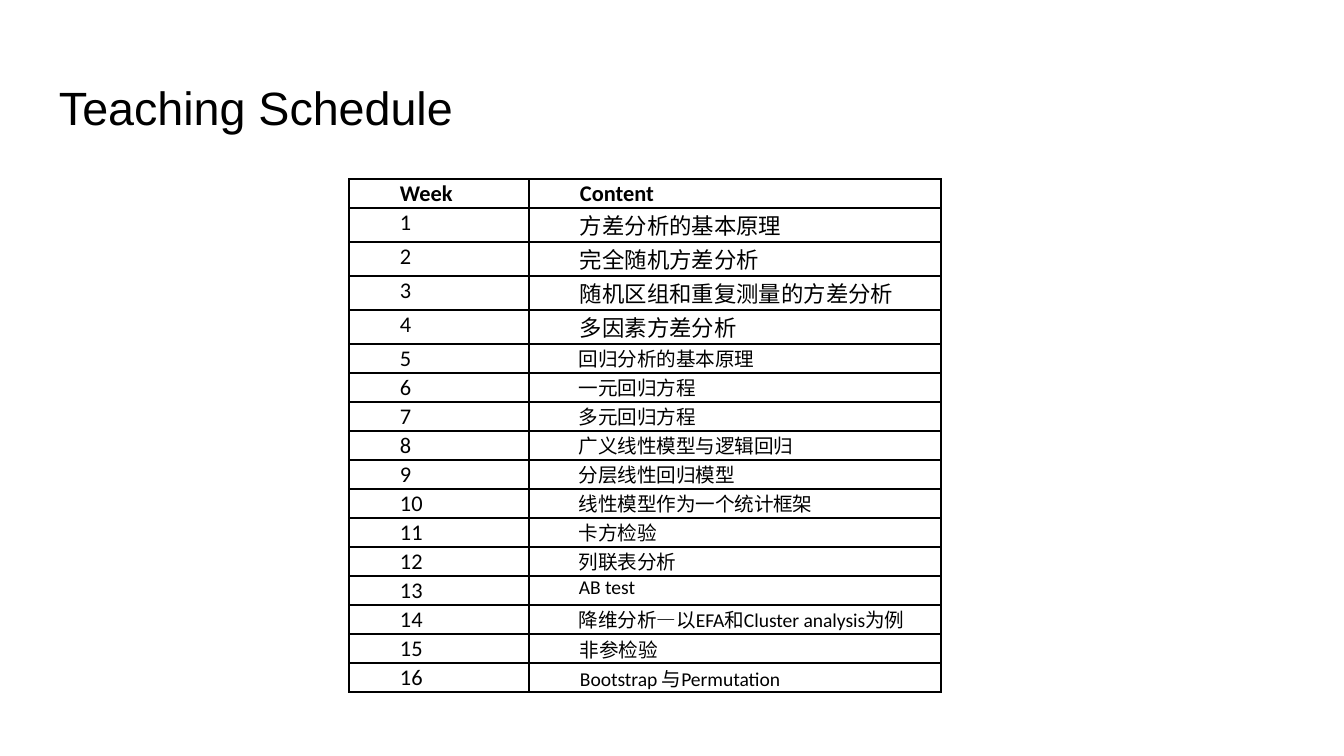
from dataclasses import dataclass

from lxml import etree
from pptx import Presentation
from pptx.dml.color import RGBColor
from pptx.enum.text import MSO_ANCHOR
from pptx.oxml.ns import qn
from pptx.slide import Slide
from pptx.table import _Cell
from pptx.util import Emu, Pt

MIDDLE = MSO_ANCHOR.MIDDLE
TOP = MSO_ANCHOR.TOP
BLACK = RGBColor(0x00, 0x00, 0x00)
TITLE_FONT = "Arial"
TABLE_FONT = "Calibri"
COLUMN_WIDTHS = (180, 412)
FIRST_LINE_INDENT = 39
BORDER_WIDTH = Pt(1)


@dataclass(frozen=True)
class CellStyle:
    size: float
    side_margin: int
    top_margin: int
    row_height: int
    bold: bool = False


@dataclass(frozen=True)
class Week:
    content: str
    style: CellStyle


HEADER = CellStyle(12, 12, 1, 29, True)
REGULAR = CellStyle(12, 12, 1, 34)
COMPACT = CellStyle(10.5, 11, 0, 29)
CLOSING = CellStyle(10.5, 12, 1, 29)

WEEKS = (
    Week("方差分析的基本原理", REGULAR),
    Week("完全随机方差分析", REGULAR),
    Week("随机区组和重复测量的方差分析", REGULAR),
    Week("多因素方差分析", REGULAR),
    Week("回归分析的基本原理", COMPACT),
    Week("一元回归方程", COMPACT),
    Week("多元回归方程", COMPACT),
    Week("广义线性模型与逻辑回归", COMPACT),
    Week("分层线性回归模型", COMPACT),
    Week("线性模型作为一个统计框架", COMPACT),
    Week("卡方检验", COMPACT),
    Week("列联表分析", COMPACT),
    Week("AB test", COMPACT),
    Week("降维分析—以EFA和Cluster analysis为例", COMPACT),
    Week("非参检验", CLOSING),
    Week("Bootstrap 与Permutation", CLOSING),
)


def px(length: int) -> Emu:
    return Emu(length * 47625 // 7)


def add_run(paragraph, text: str, font: str, size: float, bold: bool = False) -> None:
    run = paragraph.add_run()
    run.text = text
    run.font.name = font
    run.font.size = Pt(size)
    run.font.bold = bold
    run.font.color.rgb = BLACK


def add_title(slide: Slide, text: str) -> None:
    title = slide.shapes.add_textbox(px(46), px(64), px(1252), px(85))
    frame = title.text_frame
    frame.word_wrap = True
    frame.vertical_anchor = MIDDLE
    frame.margin_left = frame.margin_right = px(13)
    frame.margin_top = frame.margin_bottom = px(13)
    add_run(frame.paragraphs[0], text, TITLE_FONT, 25)


def add_borders(cell: _Cell) -> None:
    properties = cell._tc.get_or_add_tcPr()
    for position, side in enumerate(("a:lnL", "a:lnR", "a:lnT", "a:lnB")):
        line = etree.Element(qn(side), w=str(BORDER_WIDTH))
        fill = etree.SubElement(line, qn("a:solidFill"))
        etree.SubElement(fill, qn("a:srgbClr"), val=str(BLACK))
        properties.insert(position, line)


def fill_cell(cell: _Cell, text: str, style: CellStyle) -> None:
    cell.fill.background()
    cell.vertical_anchor = TOP
    cell.margin_left = cell.margin_right = px(style.side_margin)
    cell.margin_top = px(style.top_margin)
    cell.margin_bottom = px(0)
    paragraph = cell.text_frame.paragraphs[0]
    properties = paragraph._p.get_or_add_pPr()
    properties.set("marL", "0")
    properties.set("indent", str(px(FIRST_LINE_INDENT)))
    add_run(paragraph, text, TABLE_FONT, style.size, style.bold)
    add_borders(cell)


def add_schedule(slide: Slide, weeks: tuple[Week, ...]) -> None:
    row_heights = [HEADER.row_height] + [week.style.row_height for week in weeks]
    table = slide.shapes.add_table(
        len(row_heights), len(COLUMN_WIDTHS), px(349), px(179),
        px(sum(COLUMN_WIDTHS)), px(sum(row_heights)),
    ).table
    table.first_row = False
    table.horz_banding = False
    for column, width in zip(table.columns, COLUMN_WIDTHS):
        column.width = px(width)
    for row, height in zip(table.rows, row_heights):
        row.height = px(height)
    fill_cell(table.cell(0, 0), "Week", HEADER)
    fill_cell(table.cell(0, 1), "Content", HEADER)
    for number, week in enumerate(weeks, start=1):
        fill_cell(table.cell(number, 0), str(number), REGULAR)
        fill_cell(table.cell(number, 1), week.content, week.style)


def main() -> None:
    presentation = Presentation()
    presentation.slide_width = px(1344)
    presentation.slide_height = px(756)
    slide = presentation.slides.add_slide(presentation.slide_layouts[6])
    add_title(slide, "Teaching Schedule")
    add_schedule(slide, WEEKS)
    presentation.save("out.pptx")


if __name__ == "__main__":
    main()
